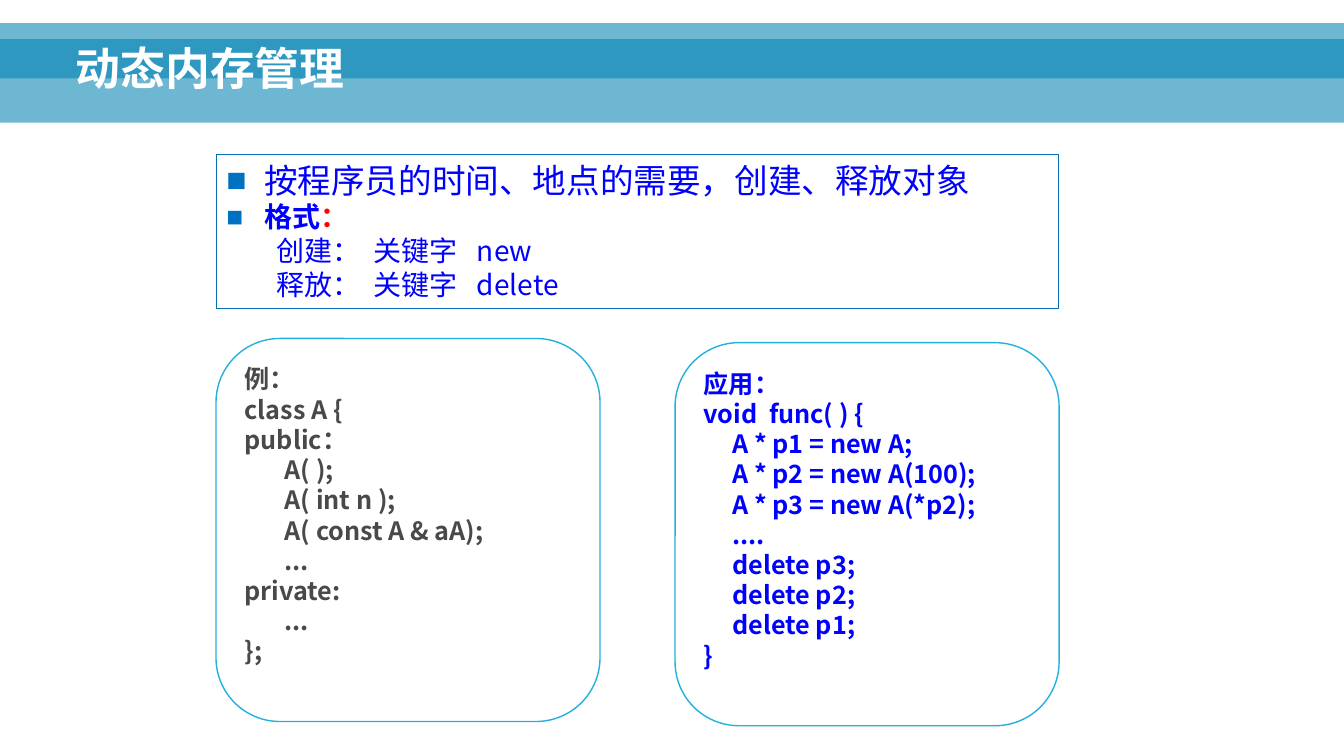
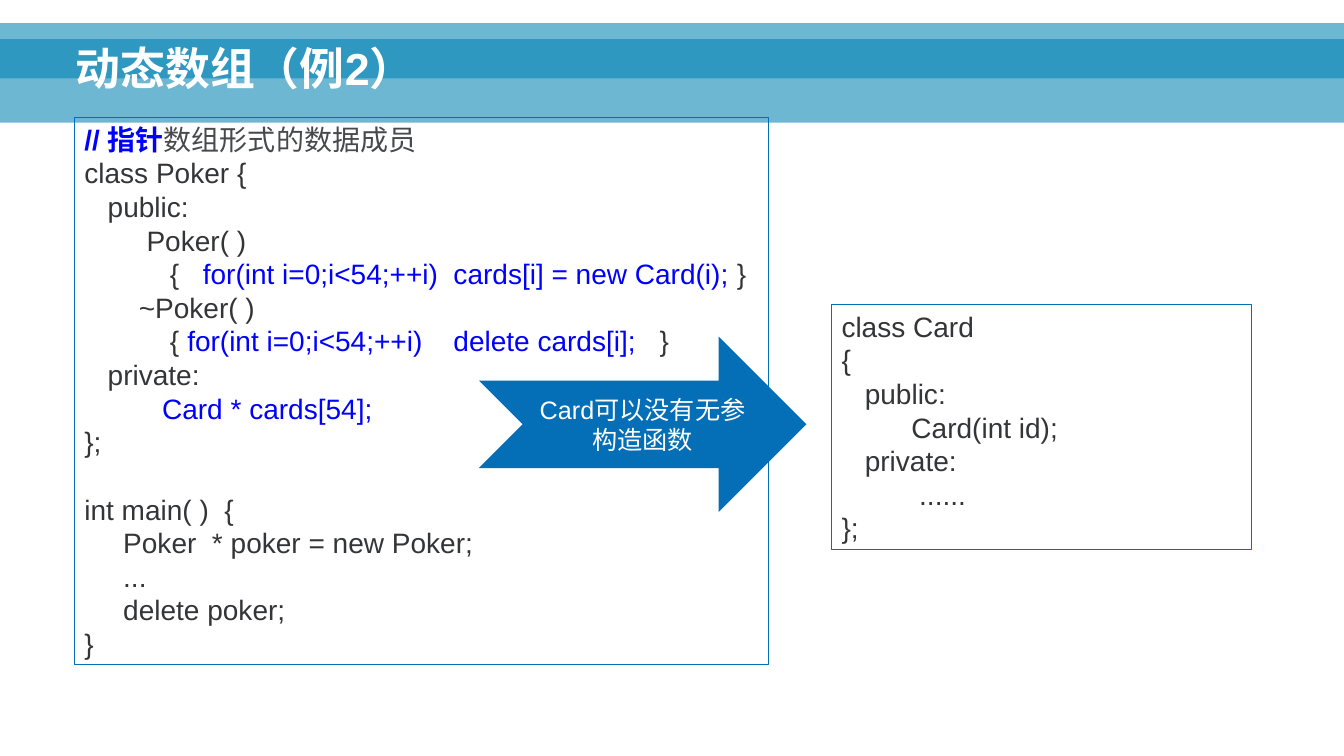
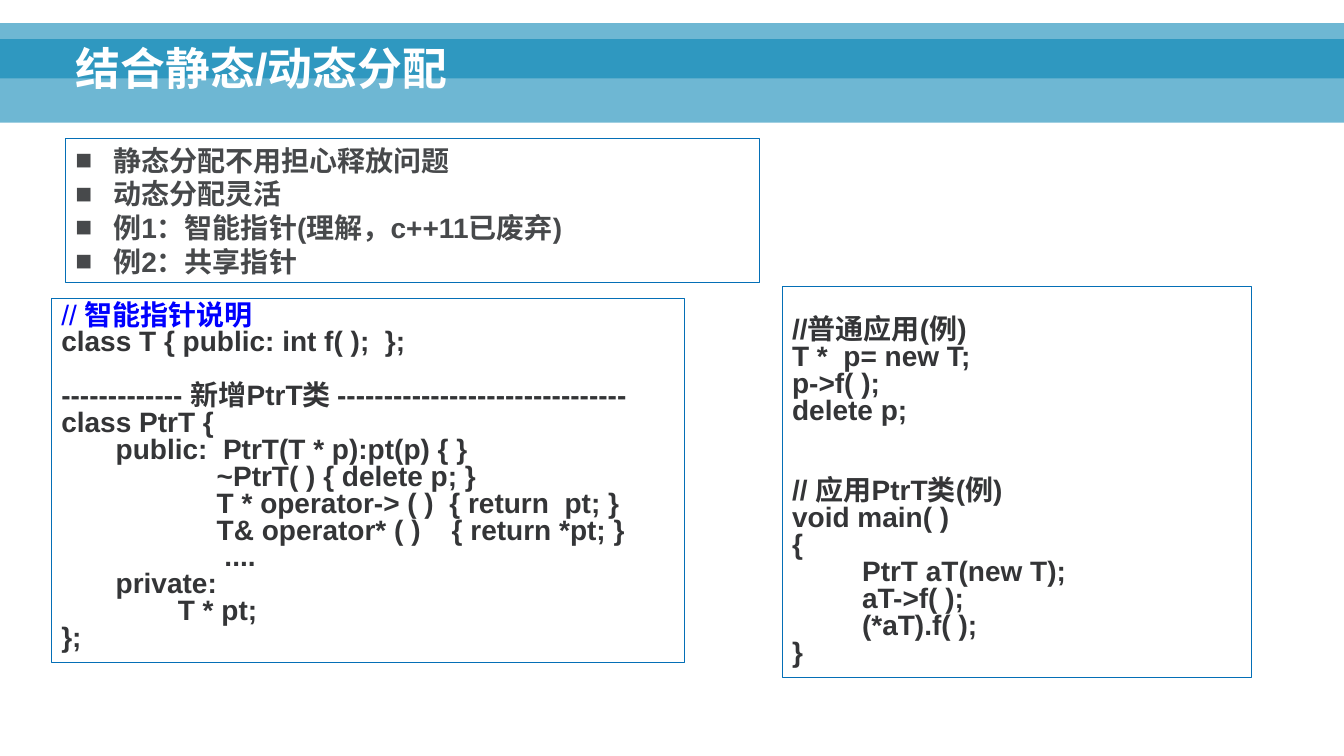
from lxml.etree import SubElement
from pptx import Presentation
from pptx.dml.color import RGBColor
from pptx.enum.shapes import MSO_SHAPE as SHAPE
from pptx.enum.text import MSO_ANCHOR as ANCHOR, PP_ALIGN as ALIGN
from pptx.oxml.ns import qn
from pptx.util import Pt

# Colours and fonts
WHITE = RGBColor(0xFF, 0xFF, 0xFF)
BAND = RGBColor(0x00, 0x82, 0xB3)
BORDER = RGBColor(0x04, 0x6F, 0xB6)
PANEL_EDGE = RGBColor(0x22, 0xB1, 0xDE)
BULLET = RGBColor(0x00, 0x70, 0xC0)
BLUE = RGBColor(0x00, 0x00, 0xFF)
RED = RGBColor(0xFF, 0x00, 0x00)
GREY = RGBColor(0x47, 0x49, 0x4B)
DARK = RGBColor(0x34, 0x35, 0x37)
LATIN = "Arial"
CJK = "Noto Sans CJK SC"

SLIDE_W, SLIDE_H = 960, 540
LINE_HEIGHT = 1.2


# Text
def add_run(paragraph, text, size, color, bold=False, font=LATIN):
    run = paragraph.add_run()
    run.text = text
    run.font.size = Pt(size)
    run.font.bold = bold
    run.font.color.rgb = color
    run.font.name = font
    SubElement(run.font._element, qn("a:ea"), typeface=CJK)


def set_pitch(paragraph, size, spacing=1.0):
    paragraph.line_spacing = Pt(round(size * LINE_HEIGHT * spacing, 2))


def next_paragraph(frame):
    first = frame.paragraphs[0]
    return frame.add_paragraph() if first.runs else first


def add_bullet(paragraph, color=None):
    props = paragraph._p.get_or_add_pPr()
    props.set("marL", str(Pt(27)))
    props.set("indent", str(-Pt(27)))
    if color is not None:
        SubElement(SubElement(props, qn("a:buClr")), qn("a:srgbClr"), val=str(color))
    SubElement(props, qn("a:buFont"), typeface=LATIN)
    SubElement(props, qn("a:buChar"), char="■")


def add_tabs(paragraph, stops):
    tabs = SubElement(paragraph._p.get_or_add_pPr(), qn("a:tabLst"))
    for stop in stops:
        SubElement(tabs, qn("a:tab"), pos=str(Pt(stop)), algn="l")


def write_code(frame, lines, size, color, bold=False, font=LATIN, spacing=1.0):
    """A line is a string or a list of (text, colour, bold); "" leaves a gap."""
    gap = 0
    for line in lines:
        if not line:
            gap += size * LINE_HEIGHT * spacing
            continue
        paragraph = next_paragraph(frame)
        paragraph.alignment = ALIGN.LEFT
        set_pitch(paragraph, size, spacing)
        if gap:
            paragraph.space_before = Pt(round(gap, 2))
            gap = 0
        pieces = [(line, color, bold)] if isinstance(line, str) else line
        for text, piece_color, piece_bold in pieces:
            add_run(paragraph, text, size, piece_color, piece_bold, font)


# Shapes
def add_box(slide, place, kind=SHAPE.RECTANGLE, fill=None, edge=None,
            edge_width=0.75, anchor=ANCHOR.TOP):
    box = slide.shapes.add_shape(kind, *map(Pt, place))
    box.shadow.inherit = False
    if fill is None:
        box.fill.background()
    else:
        box.fill.solid()
        box.fill.fore_color.rgb = fill
    if edge is None:
        box.line.fill.background()
    else:
        box.line.color.rgb = edge
        box.line.width = Pt(edge_width)
    box.text_frame.word_wrap = True
    box.text_frame.vertical_anchor = anchor
    return box


def add_frame(slide, *place):
    return add_box(slide, place, edge=BORDER).text_frame


def add_panel(slide, left, top, lines, color):
    panel = add_box(slide, (left, top, 274.3, 273.6), SHAPE.ROUNDED_RECTANGLE,
                    WHITE, PANEL_EDGE, 1, ANCHOR.MIDDLE)
    panel.text_frame.margin_bottom = Pt(25.2)
    write_code(panel.text_frame, lines, 18, color, True, CJK)


def add_titled_slide(deck, title):
    slide = deck.slides.add_slide(deck.slide_layouts[6])
    for top, height in ((28, 59.6), (16.5, 39.6)):
        band = add_box(slide, (0, top, SLIDE_W, height), fill=BAND)
        tint = band.fill._xPr.find(qn("a:solidFill"))[0]
        SubElement(tint, qn("a:alpha"), val="57000")
    frame = slide.shapes.add_textbox(*map(Pt, (47, 8.6, 862.6, 62.6))).text_frame
    frame.word_wrap = True
    frame.vertical_anchor = ANCHOR.BOTTOM
    heading = frame.paragraphs[0]
    set_pitch(heading, 32, 0.9)
    add_run(heading, title, 32, WHITE, True)
    return slide


# Slides
def memory_slide(deck):
    slide = add_titled_slide(deck, "动态内存管理")
    summary = add_frame(slide, 154.6, 110.5, 601.2, 110)
    need_runs = [("按程序员的时间、地点的需要，创建、释放对象", 24, BLUE, False, CJK)]
    format_runs = [("格式", 20, BLUE, True), ("：", 20, RED, True)]
    for runs in (need_runs, format_runs):
        point = next_paragraph(summary)
        add_bullet(point, BULLET)
        point.alignment = ALIGN.LEFT
        set_pitch(point, runs[0][1])
        for run in runs:
            add_run(point, *run)
    for action, keyword in (("创建：", "new"), ("释放：", "delete")):
        entry = next_paragraph(summary)
        add_tabs(entry, (36, 105, 179))
        entry.alignment = ALIGN.LEFT
        set_pitch(entry, 20)
        add_run(entry, f"\t{action}\t关键字\t{keyword}", 20, BLUE, font=CJK)

    add_panel(slide, 154.3, 241.8, [
        "例：",
        "class A {",
        "public：",
        "       A( );",
        "       A( int n );",
        "       A( const A & aA);",
        "       ...",
        "private:",
        "       ...",
        "};",
    ], GREY)
    add_panel(slide, 482.2, 244.8, [
        "应用：",
        "void  func( ) {",
        "     A * p1 = new A;",
        "     A * p2 = new A(100);",
        "     A * p3 = new A(*p2);",
        "     ....",
        "     delete p3;",
        "     delete p2;",
        "     delete p1;",
        "}",
    ], BLUE)


def array_slide(deck):
    slide = add_titled_slide(deck, "动态数组（例2）")
    write_code(add_frame(slide, 53.2, 83.8, 496, 391.2), [
        [("// 指针", BLUE, True), ("数组形式的数据成员", GREY, False)],
        "class Poker {",
        "   public:",
        "        Poker( )",
        [("           {   ", DARK, False),
         ("for(int i=0;i<54;++i)  cards[i] = new Card(i);", BLUE, False),
         (" }", DARK, False)],
        "       ~Poker( )",
        [("           { ", DARK, False),
         ("for(int i=0;i<54;++i)    delete cards[i]; ", BLUE, False),
         ("  }", DARK, False)],
        "   private:",
        [("          Card * cards[54];", BLUE, False)],
        "};",
        "",
        "int main( )  {",
        "     Poker  * poker = new Poker;",
        "     ...",
        "     delete poker;",
        "}",
    ], 20, DARK)
    write_code(add_frame(slide, 594, 217.4, 300, 175), [
        "class Card",
        "{",
        "   public:",
        "         Card(int id);",
        "   private:",
        "          ......",
        "};",
    ], 20, DARK)

    # Arrow from the array to the element class
    arrow = add_box(slide, (342, 240.5, 234, 125.3), SHAPE.NOTCHED_RIGHT_ARROW,
                    BORDER, anchor=ANCHOR.MIDDLE)
    remark = arrow.text_frame.paragraphs[0]
    remark.alignment = ALIGN.CENTER
    set_pitch(remark, 18)
    add_run(remark, "Card可以没有无参构造函数", 18, WHITE)


def pointer_slide(deck):
    slide = add_titled_slide(deck, "结合静态/动态分配")
    points = add_frame(slide, 46.8, 98.8, 496, 103)
    for text in ("静态分配不用担心释放问题", "动态分配灵活",
                 "例1：智能指针(理解，c++11已废弃)", "例2：共享指针"):
        point = next_paragraph(points)
        add_bullet(point)
        point.alignment = ALIGN.LEFT
        set_pitch(point, 20)
        add_run(point, text, 20, GREY, True)

    usage = add_frame(slide, 558.7, 204.6, 335.6, 279.4)
    usage.margin_top = Pt(22.8)
    write_code(usage, [
        "//普通应用(例)",
        "T *  p= new T;",
        "p->f( );",
        "delete p;",
        "",
        "",
        "// 应用PtrT类(例)",
        "void main( )",
        "{",
        "         PtrT aT(new T);",
        "         aT->f( );",
        "         (*aT).f( );",
        "}",
    ], 20, DARK, True, spacing=0.8)
    write_code(add_frame(slide, 36.7, 213.5, 452, 260), [
        [("// ", BLUE, False), ("智能指针说明", BLUE, True)],
        "class T { public: int f( );  };",
        "",
        "------------- 新增PtrT类 -------------------------------",
        "class PtrT {",
        "       public:  PtrT(T * p):pt(p) { }",
        "                    ~PtrT( ) { delete p; }",
        "                    T * operator-> ( )  { return  pt; }",
        "                    T& operator* ( )    { return *pt; }",
        "                     ....",
        "       private:",
        "               T * pt;",
        "};",
    ], 20, DARK, True, spacing=0.8)


def main():
    deck = Presentation()
    deck.slide_width, deck.slide_height = Pt(SLIDE_W), Pt(SLIDE_H)
    memory_slide(deck)
    array_slide(deck)
    pointer_slide(deck)
    deck.save("out.pptx")


if __name__ == "__main__":
    main()
